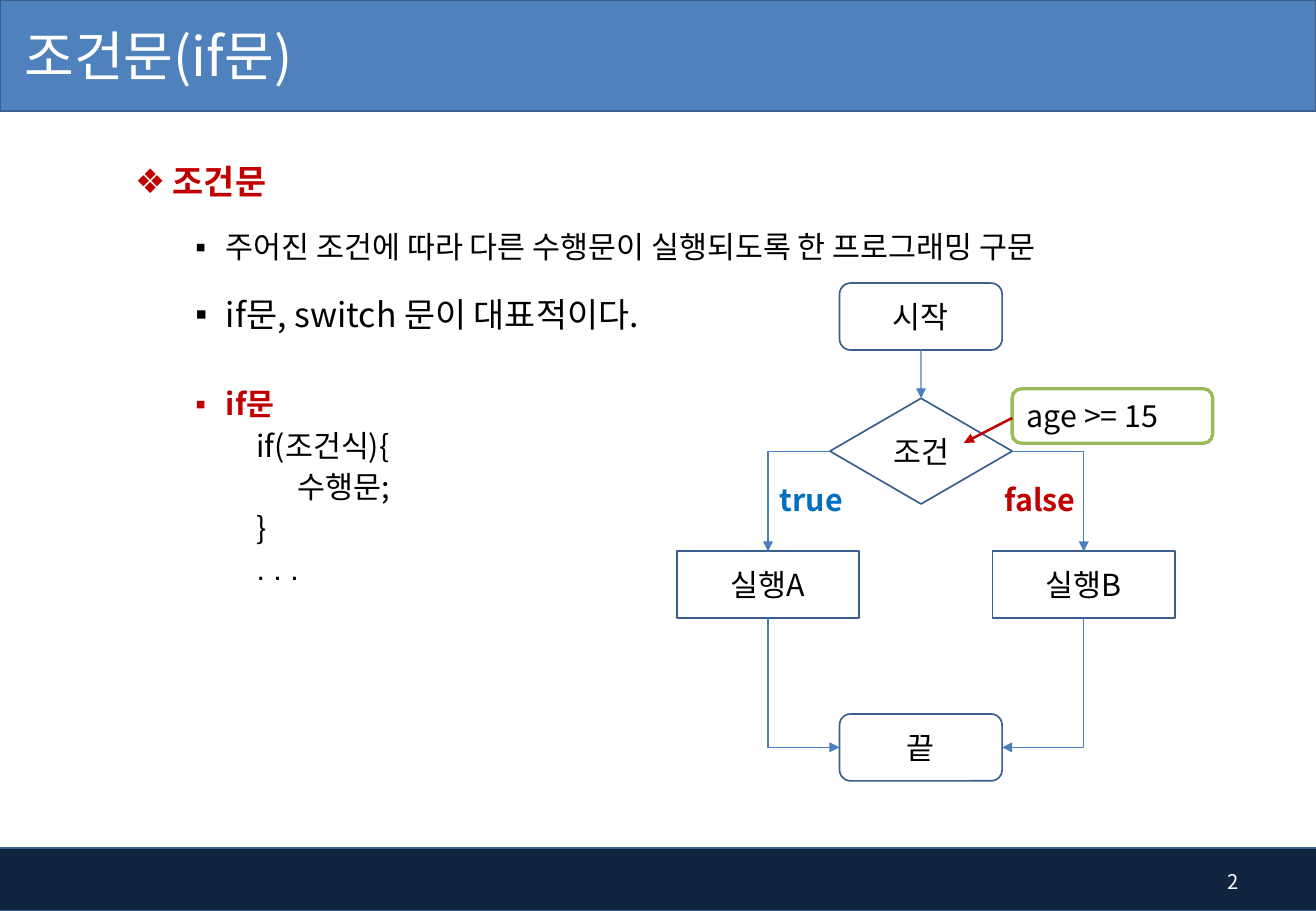
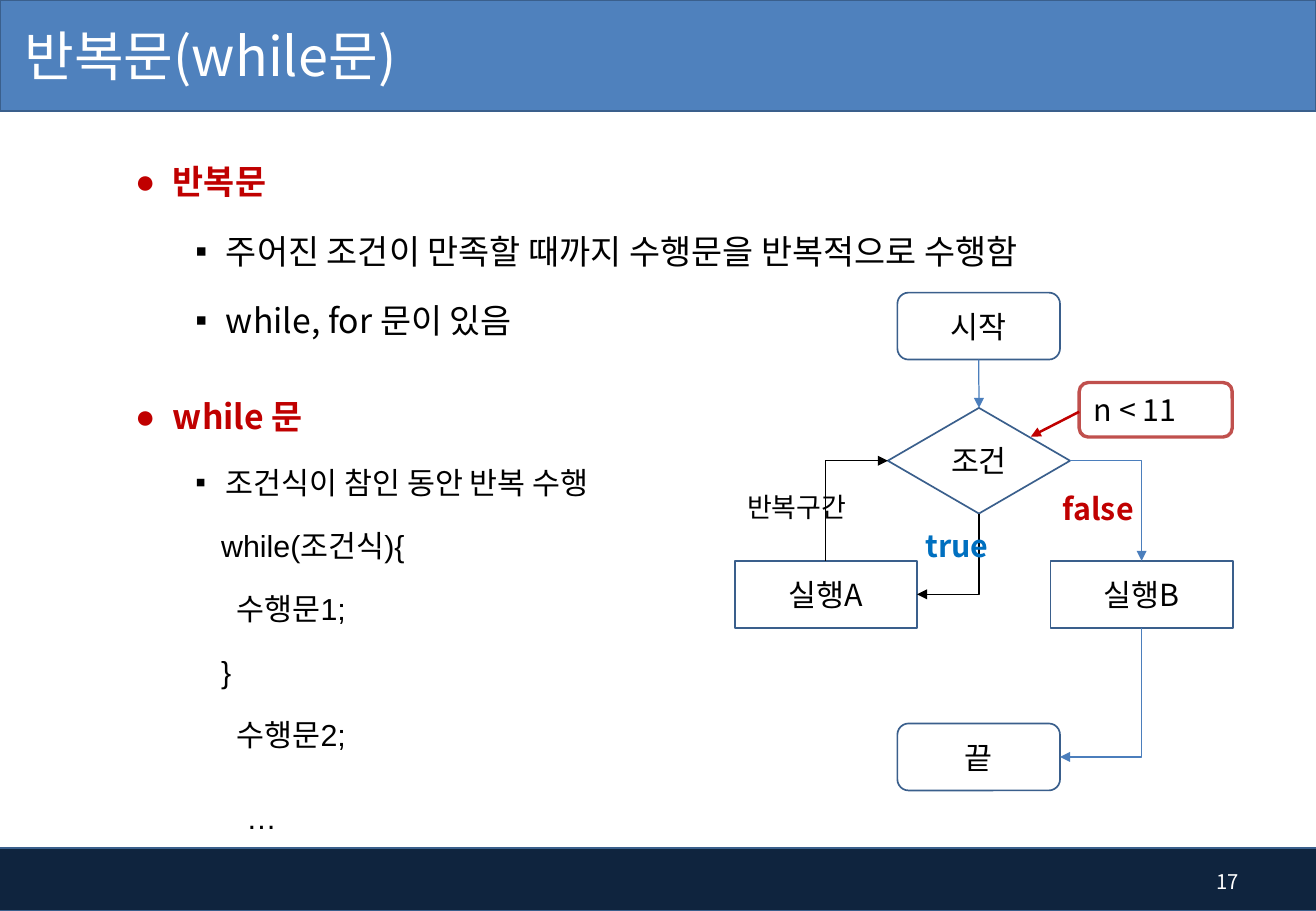
import pptx
import pptx.util
from lxml import etree
from pptx.dml.color import RGBColor
from pptx.enum.shapes import MSO_CONNECTOR, MSO_SHAPE
from pptx.enum.text import MSO_ANCHOR, MSO_AUTO_SIZE, PP_ALIGN
from pptx.oxml.ns import qn
from pptx.util import Cm, Pt

WHITE = RGBColor(0xFF, 0xFF, 0xFF)
BLACK = RGBColor(0x00, 0x00, 0x00)
NAVY = RGBColor(0x0F, 0x24, 0x3E)
BLUE = RGBColor(0x4F, 0x81, 0xBD)
EDGE = RGBColor(0x3A, 0x5F, 0x8C)
ARROW = RGBColor(0x4B, 0x7E, 0xBC)
RED = RGBColor(0xC0, 0x00, 0x00)
TRUE_BLUE = RGBColor(0x00, 0x70, 0xC0)
GREEN = RGBColor(0x9B, 0xBB, 0x59)
BRICK = RGBColor(0xC0, 0x50, 0x4D)
KOREAN = "Noto Sans CJK KR"

HEADING = {"level": 0, "left": 0.79, "hang": 0.79, "line_spacing": 0.9,
           "before": 10, "size": 20, "bold": True, "color": RED}
POINT = {"level": 1, "left": 1.9, "hang": 0.64, "line_spacing": 1.5,
         "before": 5, "size": 18, "bullet": "▪"}
BIG_POINT = POINT | {"size": 20}
CODE = {"level": 2, "left": 2.54, "hang": 0, "line_spacing": 0.9, "before": 5, "size": 18}
ARIAL_CODE = CODE | {"level": 1, "left": 1.27, "line_spacing": 1.5, "name": "Arial"}

LESSONS = [
    {
        "title": "조건문(if문)", "number": "2", "body_size": (22.4, 12.8),
        "items": [
            ("조건문", HEADING | {"bullet": "❖"}),
            ("주어진 조건에 따라 다른 수행문이 실행되도록 한 프로그래밍 구문", POINT),
            ("if문, switch 문이 대표적이다.", BIG_POINT),
            ("if문", POINT | {"line_spacing": 0.9, "before": 33, "bold": True, "color": RED}),
            ("if(조건식){", CODE),
            ("      수행문;", CODE),
            ("}", CODE),
            (". . .", CODE | {"name": "Arial"}),
        ],
        "shift": (0, 0),
        "labels": [("true", 16.05, 9.93, 1.91, 18, True, TRUE_BLUE),
                   ("false", 20.75, 9.93, 2.21, 18, True, RED)],
        "note": ("age >= 15", 21.16, 8.13, 4.19, GREEN),
        "links": [("조건", 1, "실행A", 0, "tailEnd", ARROW),
                  ("끝", 1, "실행A", 2, "headEnd", ARROW)],
    },
    {
        "title": "반복문(while문)", "number": "17", "body_size": (22.8, 13.8),
        "items": [
            ("반복문", HEADING | {"bullet": "●"}),
            ("주어진 조건이 만족할 때까지 수행문을 반복적으로 수행함", BIG_POINT),
            ("while, for 문이 있음", BIG_POINT),
            ("while 문", HEADING | {"bullet": "●", "before": 36}),
            ("조건식이 참인 동안 반복 수행", POINT),
            ("   while(조건식){", ARIAL_CODE),
            ("      수행문1;", ARIAL_CODE),
            ("   }", ARIAL_CODE),
            ("      수행문2;", ARIAL_CODE),
            ("      …", ARIAL_CODE | {"line_spacing": 0.9, "before": 30}),
        ],
        "shift": (1.21, 0.2),
        "labels": [("true", 19.1, 10.9, 1.91, 18, True, TRUE_BLUE),
                   ("false", 21.97, 10.13, 2.21, 18, True, RED),
                   ("반복구간", 15.37, 10.13, 3.1, 16, False, BLACK)],
        "note": ("n < 11", 22.56, 8, 3.2, BRICK),
        "links": [("조건", 1, "실행A", 0, "headEnd", BLACK),
                  ("실행A", 3, "조건", 2, "headEnd", BLACK)],
    },
]

FLOW = [
    ("시작", MSO_SHAPE.ROUNDED_RECTANGLE, 17.55, 5.92, 3.4, 1.4),
    ("끝", MSO_SHAPE.ROUNDED_RECTANGLE, 17.55, 14.93, 3.4, 1.4),
    ("조건", MSO_SHAPE.DIAMOND, 17.35, 8.33, 3.81, 2.21),
    ("실행A", MSO_SHAPE.RECTANGLE, 14.15, 11.53, 3.81, 1.4),
    ("실행B", MSO_SHAPE.RECTANGLE, 20.75, 11.53, 3.81, 1.4),
]
SHARED_LINKS = [
    ("시작", 2, "조건", 0, "tailEnd", ARROW),
    ("조건", 3, "실행B", 0, "tailEnd", ARROW),
    ("끝", 3, "실행B", 2, "headEnd", ARROW),
]


def write(para, text, color=BLACK, **values):
    span = para.add_run()
    span.text = text
    for key, value in ({"name": KOREAN, "bold": False} | values).items():
        setattr(span.font, key, value)
    span.font.color.rgb = color
    east = etree.SubElement(span.font._element, qn("a:ea"))
    east.set("typeface", KOREAN)


def draw_arrow(page, kind, ends, color, width, head="tailEnd"):
    arrow = page.shapes.add_connector(kind, *[Cm(value) for value in ends])
    arrow.line.color.rgb = color
    arrow.line.width = Pt(width)
    properties = arrow.element.spPr
    etree.SubElement(properties.find(qn("a:ln")), qn("a:" + head)).set("type", "triangle")
    etree.SubElement(properties, qn("a:effectLst"))
    return arrow


deck = pptx.Presentation()
deck.slide_width, deck.slide_height = Cm(27.51), Cm(19.05)
pages = [deck.slides.add_slide(deck.slide_layouts[1]) for lesson in LESSONS]

master_tree = deck.slide_master.shapes.element
bands = [(-0.1, 17.73, 27.63, 1.32, NAVY), (0, 0, 27.51, 2.33, BLUE)]
for index, (*place, color) in enumerate(bands):
    band = pages[0].shapes.add_shape(MSO_SHAPE.RECTANGLE, *[Cm(value) for value in place])
    band.shadow.inherit = False
    band.fill.solid()
    band.fill.fore_color.rgb = color
    band.line.color.rgb = EDGE
    band.line.width = Pt(1)
    band.element.nvSpPr.cNvPr.set("id", str(20 + index))
    master_tree.insert(2 + index, band.element)

for page, lesson in zip(pages, LESSONS):
    title = page.shapes.title
    body = page.placeholders[1]
    for box, place in ((title, (0, -0.05, 17.22, 2.39)),
                       (body, (2.57, 3.33, *lesson["body_size"]))):
        for key, value in zip(("left", "top", "width", "height"), place):
            setattr(box, key, Cm(value))
        box.text_frame.auto_size = MSO_AUTO_SIZE.NONE
    title.text_frame.margin_left = Cm(0.51)
    title.text_frame.vertical_anchor = MSO_ANCHOR.MIDDLE
    para = title.text_frame.paragraphs[0]
    para.alignment = PP_ALIGN.LEFT
    write(para, lesson["title"], WHITE, size=Pt(32))

    for index, (text, style) in enumerate(lesson["items"]):
        para = body.text_frame.add_paragraph() if index else body.text_frame.paragraphs[0]
        properties = para._p.get_or_add_pPr()
        properties.set("marL", str(Cm(style["left"])))
        properties.set("indent", str(-Cm(style["hang"])))
        if "bullet" in style:
            etree.SubElement(properties, qn("a:buChar")).set("char", style["bullet"])
        else:
            etree.SubElement(properties, qn("a:buNone"))
        para.level = style["level"]
        para.line_spacing = style["line_spacing"]
        para.space_before = Pt(style["before"] if index else 0)
        write(para, text, style.get("color", BLACK), size=Pt(style["size"]),
              bold=style.get("bold", False), name=style.get("name", KOREAN))

    nodes = {}
    for text, kind, left, top, width, height in FLOW:
        node = page.shapes.add_shape(kind, Cm(left + lesson["shift"][0]),
                                     Cm(top + lesson["shift"][1]), Cm(width), Cm(height))
        node.shadow.inherit = False
        node.fill.background()
        node.line.color.rgb = EDGE
        node.line.width = Pt(1)
        node.text_frame.vertical_anchor = MSO_ANCHOR.MIDDLE
        para = node.text_frame.paragraphs[0]
        para.alignment = PP_ALIGN.CENTER
        write(para, text, size=Pt(18))
        nodes[text] = node

    for start, start_side, end, end_side, head, color in SHARED_LINKS + lesson["links"]:
        straight = start == "시작"
        kind = MSO_CONNECTOR.STRAIGHT if straight else MSO_CONNECTOR.ELBOW
        arrow = draw_arrow(page, kind, (0, 0, 1, 1), color, 0.75, head)
        arrow.begin_connect(nodes[start], start_side)
        arrow.end_connect(nodes[end], end_side)
        if not straight:
            arrow.element.spPr.find(qn("a:prstGeom")).set("prst", "bentConnector2")

    for text, left, top, width, size, bold, color in lesson["labels"]:
        box = page.shapes.add_textbox(Cm(left), Cm(top), Cm(width), Cm(1.02))
        box.text_frame.word_wrap = True
        write(box.text_frame.paragraphs[0], text, color, size=Pt(size), bold=bold)

    text, left, top, width, color = lesson["note"]
    note = page.shapes.add_shape(MSO_SHAPE.ROUNDED_RECTANGLE, Cm(left), Cm(top),
                                 Cm(width), Cm(1.14))
    note.shadow.inherit = False
    note.fill.solid()
    note.fill.fore_color.rgb = WHITE
    note.line.color.rgb = color
    note.line.width = Pt(2)
    note.text_frame.vertical_anchor = MSO_ANCHOR.TOP
    para = note.text_frame.paragraphs[0]
    para.alignment = PP_ALIGN.LEFT
    write(para, text, size=Pt(18))
    draw_arrow(page, MSO_CONNECTOR.STRAIGHT, (left, top + 0.61, left - 1.01, top + 1.13),
               RED, 1.5)

    number = page.shapes.add_textbox(Cm(24.59), Cm(17.93), Cm(1.55), Cm(1.02))
    number.text_frame.word_wrap = True
    number.text_frame.vertical_anchor = MSO_ANCHOR.MIDDLE
    para = number.text_frame.paragraphs[0]
    para.alignment = PP_ALIGN.RIGHT
    write(para, lesson["number"], WHITE, size=Pt(12))

deck.save("out.pptx")
